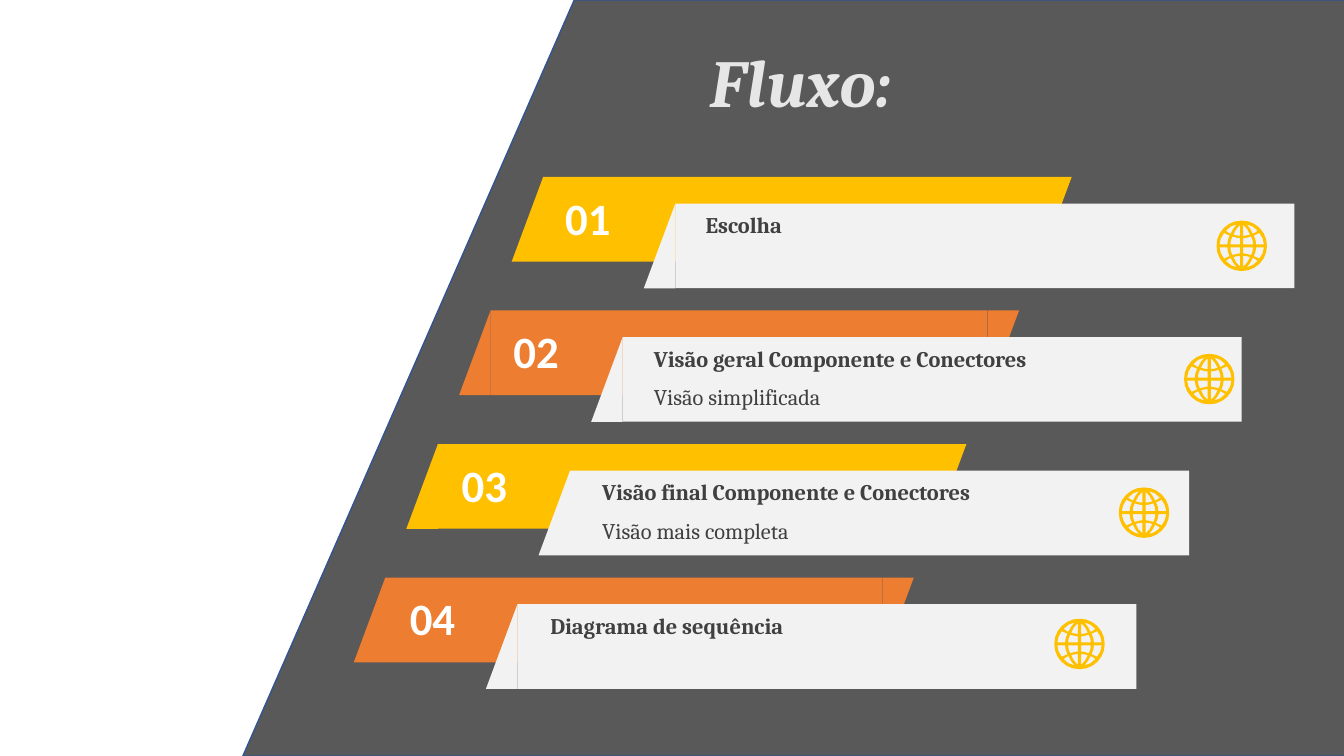
from dataclasses import dataclass

from lxml import etree
from pptx import Presentation
from pptx.dml.color import RGBColor
from pptx.enum.shapes import MSO_SHAPE
from pptx.enum.text import MSO_ANCHOR, MSO_AUTO_SIZE, PP_ALIGN
from pptx.oxml.ns import qn
from pptx.shapes.autoshape import Shape
from pptx.slide import Slide
from pptx.util import Pt

RECTANGLE = MSO_SHAPE.RECTANGLE
TRIANGLE = MSO_SHAPE.ISOSCELES_TRIANGLE
SLOPED_PANEL = MSO_SHAPE.FLOWCHART_DATA
CENTER, LEFT = PP_ALIGN.CENTER, PP_ALIGN.LEFT
MIDDLE, TOP = MSO_ANCHOR.MIDDLE, MSO_ANCHOR.TOP
GROW = MSO_AUTO_SIZE.SHAPE_TO_FIT_TEXT
FIXED = MSO_AUTO_SIZE.NONE


@dataclass(frozen=True)
class Theme:
    background: str = "595959"
    edge: str = "325491"
    yellow: str = "FFC000"
    orange: str = "ED7D31"
    panel: str = "F2F2F2"
    title: str = "E7E6E6"
    number: str = "FFFFFF"
    body: str = "404040"
    serif: str = "Cambria"
    sans: str = "Calibri"
    title_size: float = 48
    number_size: float = 32
    body_size: float = 16


@dataclass(frozen=True)
class Box:
    left: float
    top: float
    width: float
    height: float


@dataclass(frozen=True)
class Style:
    font: str
    size: float
    color: str
    bold: bool = False
    italic: bool = False


@dataclass(frozen=True)
class Step:
    heading: str
    detail: str
    color: str
    globe_x: float
    globe_y: float


THEME = Theme()
TITLE = Style(THEME.serif, THEME.title_size, THEME.title, bold=True, italic=True)
NUMBER = Style(THEME.sans, THEME.number_size, THEME.number, bold=True)
HEADING = Style(THEME.serif, THEME.body_size, THEME.body, bold=True)
DETAIL = Style(THEME.serif, THEME.body_size, THEME.body)

STEPS = (
    Step("Escolha", "", THEME.yellow, 887, 175.6),
    Step("Visão geral Componente e Conectores", "Visão simplificada",
         THEME.orange, 863.8, 270.8),
    Step("Visão final Componente e Conectores", "Visão mais completa",
         THEME.yellow, 817.2, 366.2),
    Step("Diagrama de sequência", "", THEME.orange, 771.1, 460),
)

ROW_PITCH = 95.4
BAR_SHIFT = -37.6
TEXT_SHIFT = -37
BAR_HEIGHT = 60.5
CAP_WIDTH = 22.5
GLOBE_RADIUS = 18
GLOBE_UNITS = 100

# Openings in one quarter of the globe, in hundredths of its radius.
GLOBE_OPENINGS = (
    ((6, 6), (45, 6), (43, 22), (37, 37), (20, 32), (6, 30)),
    ((57, 6), (88, 6), (83, 29), (70, 51), (60, 46), (48, 41), (55, 22)),
    ((6, 40), (20, 41), (33, 45), (22, 66), (6, 83)),
    ((44, 48), (54, 53), (63, 60), (43, 77), (20, 85), (34, 67)),
)
# One quarter of the rim, at steps of 15 degrees.
RIM_QUARTER = ((100, 0), (97, 26), (87, 50), (71, 71), (50, 87), (26, 97))


def paint(shape: Shape, color: str) -> None:
    shape.shadow.inherit = False
    shape.fill.solid()
    shape.fill.fore_color.rgb = RGBColor.from_string(color)
    shape.line.fill.background()


def add_block(page: Slide, kind: MSO_SHAPE, box: Box, color: str) -> Shape:
    block = page.shapes.add_shape(
        kind, Pt(box.left), Pt(box.top), Pt(box.width), Pt(box.height))
    paint(block, color)
    return block


def add_cap(page: Slide, left: float, top: float, angle: int, color: str) -> None:
    """Add a right triangle, turned upright, whose visible corner is given."""
    inset = (BAR_HEIGHT - CAP_WIDTH) / 2
    box = Box(left - inset, top + inset, BAR_HEIGHT, CAP_WIDTH)
    cap = add_block(page, TRIANGLE, box, color)
    cap.adjustments[0] = 0
    cap.rotation = angle


def add_bar(page: Slide, box: Box, color: str, right_cap: bool) -> None:
    add_block(page, RECTANGLE, box, color)
    add_cap(page, box.left - CAP_WIDTH, box.top, 270, color)
    if right_cap:
        add_cap(page, box.left + box.width, box.top, 90, color)


def add_text(page: Slide, box: Box, text: str, style: Style,
             align: PP_ALIGN = LEFT, anchor: MSO_ANCHOR = TOP,
             size_rule: MSO_AUTO_SIZE = GROW) -> Shape:
    label = page.shapes.add_textbox(
        Pt(box.left), Pt(box.top), Pt(box.width), Pt(box.height))
    frame = label.text_frame
    frame.word_wrap = True
    frame.auto_size = size_rule
    frame.vertical_anchor = anchor
    para = frame.paragraphs[0]
    para.alignment = align
    span = para.add_run()
    span.text = text
    span.font.name = style.font
    span.font.size = Pt(style.size)
    span.font.bold = style.bold
    span.font.italic = style.italic
    span.font.color.rgb = RGBColor.from_string(style.color)
    return label


def add_title(page: Slide) -> None:
    label = add_text(page, Box(324, 0.7, 495.4, 121.7), "Fluxo:", TITLE,
                     CENTER, MIDDLE, FIXED)
    para = label.text_frame.paragraphs[0]
    para.line_spacing = 0.9
    properties = para.runs[0].font._element
    properties.set("spc", "50")
    effects = etree.Element(qn("a:effectLst"))
    properties.find(qn("a:solidFill")).addnext(effects)
    shadow = etree.SubElement(effects, qn("a:outerShdw"), blurRad="38100",
                              dist="25400", dir="2700000")
    shade = etree.SubElement(shadow, qn("a:srgbClr"), val="000000")
    etree.SubElement(shade, qn("a:alpha"), val="40000")


def add_globe(page: Slide, center_x: float, center_y: float) -> None:
    """Draw the rim as one contour and cut the mirrored openings out of it."""
    rim = list(RIM_QUARTER)
    for _ in range(3):
        rim += [(-y, x) for x, y in rim[-len(RIM_QUARTER):]]
    openings = [[(x * across, y * down) for x, y in opening]
                for across in (1, -1) for down in (1, -1)
                for opening in GLOBE_OPENINGS]
    builder = page.shapes.build_freeform(
        *rim[0], scale=Pt(GLOBE_RADIUS) / GLOBE_UNITS)
    builder.add_line_segments(rim[1:], close=True)
    for opening in openings:
        builder.move_to(*opening[0])
        builder.add_line_segments(opening[1:], close=True)
    paint(builder.convert_to_shape(Pt(center_x), Pt(center_y)), THEME.yellow)


def add_step(page: Slide, index: int, step: Step) -> None:
    down = index * ROW_PITCH
    bar_x = 388 + index * BAR_SHIFT
    text_x = 388 + index * TEXT_SHIFT
    add_bar(page, Box(bar_x, 126.4 + down, 355, BAR_HEIGHT), step.color, True)
    add_bar(page, Box(bar_x + 94.4, 145.4 + down, 442.2, BAR_HEIGHT),
            THEME.panel, False)
    add_text(page, Box(text_x, 132.5 + down, 64, 46), f"{index + 1:02}",
             NUMBER, CENTER)
    add_text(page, Box(text_x + 109, 147.5 + down, 390, 26.6),
             step.heading, HEADING)
    if step.detail:
        add_text(page, Box(text_x + 109, 174.8 + down, 347, 26.6),
                 step.detail, DETAIL)
    add_globe(page, step.globe_x, step.globe_y)


def main() -> None:
    deck = Presentation()
    deck.slide_width, deck.slide_height = Pt(960), Pt(540)
    page = deck.slides.add_slide(deck.slide_layouts[6])
    backdrop = add_block(page, SLOPED_PANEL, Box(173.5, 0, 1183.7, 540),
                         THEME.background)
    backdrop.line.color.rgb = RGBColor.from_string(THEME.edge)
    backdrop.line.width = Pt(1)
    add_title(page)
    for index, step in enumerate(STEPS):
        add_step(page, index, step)
    deck.save("out.pptx")


if __name__ == "__main__":
    main()
